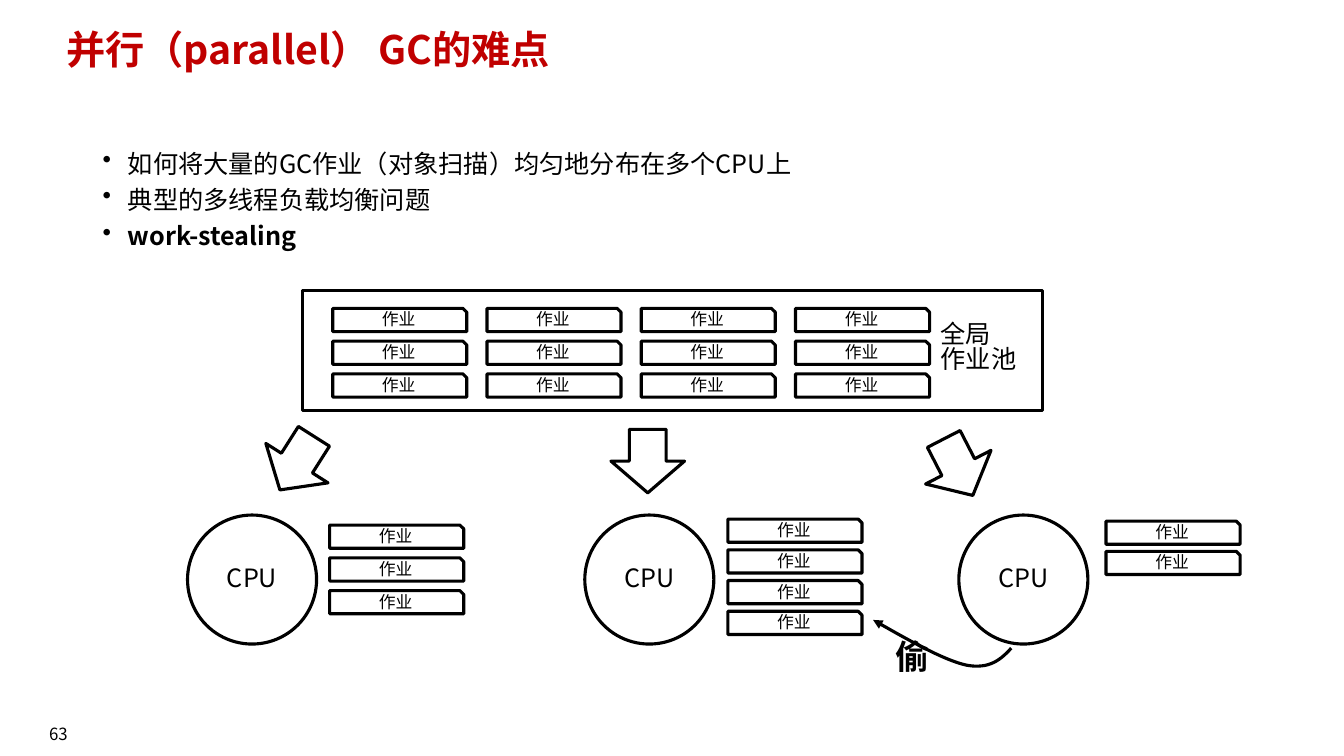
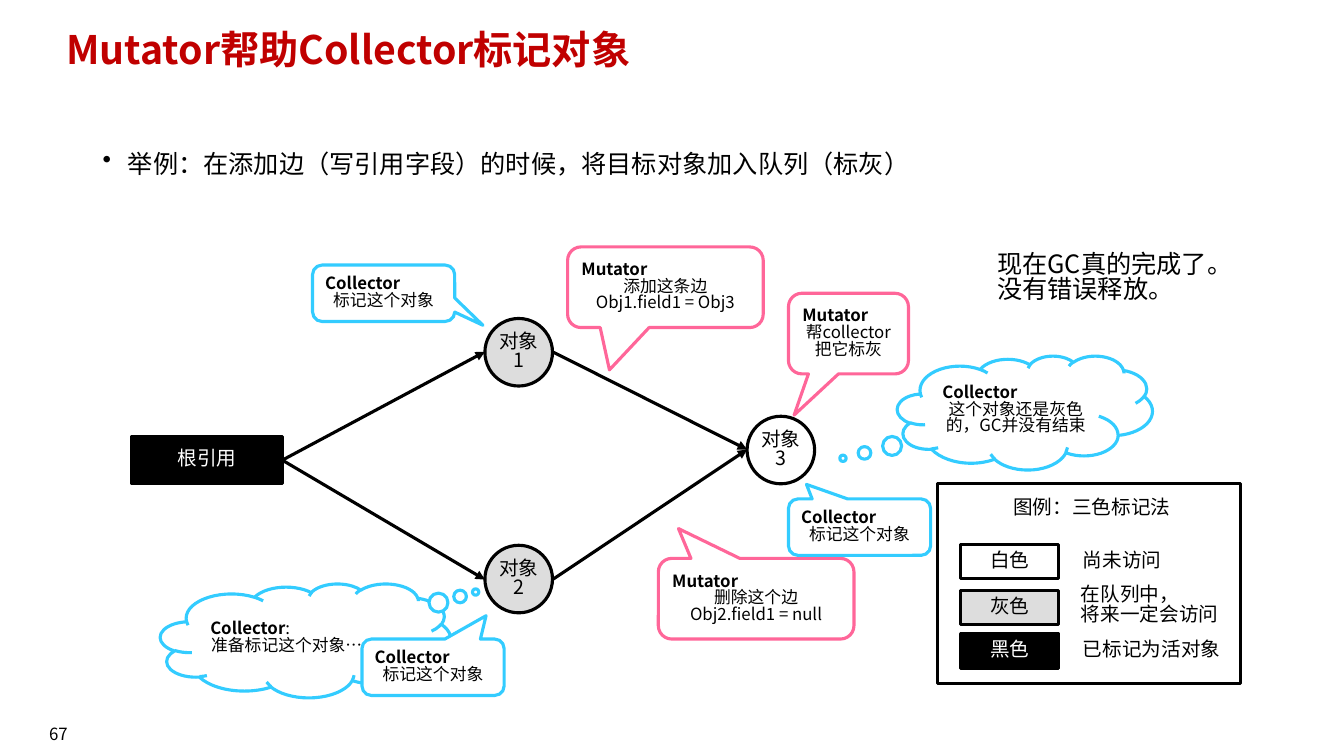
"""Build two slides on parallel and concurrent garbage collection."""
from lxml.etree import SubElement
from pptx import Presentation
from pptx.dml.color import RGBColor
from pptx.enum.shapes import MSO_CONNECTOR, MSO_SHAPE as Kind
from pptx.enum.text import MSO_ANCHOR as Anchor, MSO_AUTO_SIZE as Fit, PP_ALIGN as Align
from pptx.oxml.ns import qn
from pptx.util import Inches, Pt

HUES = {"ink": "000000", "paper": "FFFFFF", "title": "C00000",
        "gray": "DDDDDD", "pink": "FF6699", "blue": "33CCFF"}
FACE = "Noto Sans CJK SC"
LEAD = 0.82
TIGHT = 0.74


def hue(name):
    return RGBColor.from_string(HUES[name])


class Deck:
    """Hold the shared style and the current slide."""

    def __init__(self):
        self.prs = Presentation()
        self.prs.slide_width = Inches(13.33)
        self.prs.slide_height = Inches(7.5)
        self.slide = None

    def page(self, title, number, points):
        self.slide = self.prs.slides.add_slide(self.prs.slide_layouts[5])
        head = self.slide.shapes.title
        head.left, head.top, head.width, head.height = map(Inches, (0.56, 0.31, 11.5, 0.65))
        frame = head.text_frame
        frame.auto_size = Fit.NONE
        frame.vertical_anchor = Anchor.TOP
        self.words(frame, [title], 28, "title", bold=True, lead=TIGHT)
        self.label((0, 7.1, 1.16, 0.4), [number], 12, align=Align.CENTER, anchor=Anchor.MIDDLE)
        return self.bullets(points)

    def words(self, frame, lines, size, color="ink", align=Align.LEFT,
              bold=False, lead=LEAD, bullet=False):
        frame.word_wrap = True
        for i, line in enumerate(lines):
            para = frame.add_paragraph() if i else frame.paragraphs[0]
            para.text = line
            props = para._p.get_or_add_pPr()
            if bullet:
                props.set("marL", str(Inches(0.25)))
                props.set("indent", str(-Inches(0.25)))
                SubElement(props, qn("a:buChar")).set("char", "•")
                if i:
                    para.space_before = Pt(10)
            para.alignment = align
            para.line_spacing = lead
            font = para.font
            font.size, font.bold, font.name = Pt(size), bold, FACE
            font.color.rgb = hue(color)
            SubElement(props.find(qn("a:defRPr")), qn("a:ea")).set("typeface", FACE)

    def label(self, box, lines, size, align=Align.LEFT, bold=False, anchor=Anchor.TOP):
        frame = self.slide.shapes.add_textbox(*map(Inches, box)).text_frame
        self.inset(frame)
        frame.vertical_anchor = anchor
        self.words(frame, lines, size, align=align, bold=bold)

    def bullets(self, points):
        frame = self.slide.shapes.add_textbox(*map(Inches, (0.92, 1.49, 11.5, 4.76))).text_frame
        self.words(frame, points, 18, lead=TIGHT, bullet=True)
        return frame

    def inset(self, frame):
        frame.margin_left = frame.margin_right = 0
        frame.margin_top = frame.margin_bottom = 0

    def paint(self, shape, fill, line):
        shape.shadow.inherit = False
        shape.fill.solid()
        shape.fill.fore_color.rgb = hue(fill)
        shape.line.color.rgb = hue(line)
        shape.line.width = Pt(2.25)

    def shape(self, kind, box, lines=(), size=14, fill="paper", line="ink", turn=0):
        item = self.slide.shapes.add_shape(kind, *map(Inches, box))
        self.paint(item, fill, line)
        item.rotation = turn
        item.text_frame.vertical_anchor = Anchor.MIDDLE
        color = "paper" if fill == "ink" else "ink"
        self.words(item.text_frame, lines, size, color, Align.CENTER)
        return item

    def job(self, left, top):
        self.shape(Kind.SNIP_1_RECTANGLE, (left, top, 1.33, 0.23), ["作业"], 12)

    def node(self, left, top, number, fill="paper"):
        item = self.shape(Kind.OVAL, (left, top, 0.67, 0.67), ["对象", number], fill=fill)
        self.inset(item.text_frame)

    def bubble(self, kind, box, tip, who, lines, line, mark=""):
        item = self.shape(kind, box, [who, *lines], 12, line=line)
        item.adjustments[0], item.adjustments[1] = tip
        first = item.text_frame.paragraphs[0]
        first.alignment = Align.LEFT
        first.font.bold = True
        if mark:
            run = first.add_run()
            run.text = mark
            run.font.bold = False

    def arrow(self, item):
        SubElement(item._element.spPr.find(qn("a:ln")), qn("a:tailEnd")).set("type", "triangle")

    def edge(self, start, end, source=None):
        item = self.slide.shapes.add_connector(
            MSO_CONNECTOR.STRAIGHT, *map(Inches, (*start, *end)))
        if source:
            item.begin_connect(source, 3)
        item.line.color.rgb = hue("ink")
        item.line.width = Pt(2.25)
        self.arrow(item)
        SubElement(item._element.spPr, qn("a:effectLst"))

    def curve(self, start, bends, steps=16):
        dots = [start]
        for bend in bends:
            knots = (dots[-1], *bend)
            for n in range(1, steps + 1):
                t = n / steps
                parts = ((1 - t) ** 3, 3 * t * (1 - t) ** 2, 3 * t * t * (1 - t), t ** 3)
                dots.append(tuple(sum(w * k[axis] for w, k in zip(parts, knots))
                                  for axis in (0, 1)))
        spots = [(Inches(x), Inches(y)) for x, y in dots]
        pen = self.slide.shapes.build_freeform(*spots[0])
        pen.add_line_segments(spots[1:], close=False)
        item = pen.convert_to_shape()
        self.paint(item, "paper", "ink")
        self.arrow(item)


def stealing(deck):
    body = deck.page("并行（parallel） GC的难点", "63", [
        "如何将大量的GC作业（对象扫描）均匀地分布在多个CPU上",
        "典型的多线程负载均衡问题", "work-stealing"])
    body.paragraphs[2].font.bold = True
    deck.shape(Kind.RECTANGLE, (3, 2.88, 7.34, 1.19))
    for col in range(4):
        for row in range(3):
            deck.job(3.3 + 1.53 * col, 3.06 + 0.325 * row)
    deck.label((9.33, 3.21, 0.89, 0.61), ["全局\v作业池"], 18)
    for left, top, turn in ((2.58, 4.28, 32.4), (6.06, 4.26, 0), (9.14, 4.32, 332.8)):
        deck.shape(Kind.DOWN_ARROW, (left, top, 0.73, 0.63), turn=turn)
    for cpu, left, top, gap, count in ((1.86, 3.27, 5.21, 0.325, 3),
                                       (5.8, 7.22, 5.15, 0.305, 4),
                                       (9.51, 10.97, 5.17, 0.3, 2)):
        deck.shape(Kind.OVAL, (cpu, 5.11, 1.28, 1.28), ["CPU"], 18)
        for row in range(count):
            deck.job(left, top + gap * row)
    deck.curve((10.03, 6.43), [((9.93, 6.54), (9.82, 6.64), (9.59, 6.6)),
                               ((9.36, 6.55), (9.01, 6.35), (8.66, 6.15))])
    deck.label((8.88, 6.38, 0.35, 0.4), ["偷"], 24, bold=True)


def marking(deck):
    deck.page("Mutator帮助Collector标记对象", "67",
              ["举例：在添加边（写引用字段）的时候，将目标对象加入队列（标灰）"])
    root = deck.shape(Kind.RECTANGLE, (1.31, 4.33, 1.49, 0.47), ["根引用"], fill="ink")
    deck.node(4.81, 3.16, "1", "gray")
    deck.node(4.81, 5.41, "2", "gray")
    deck.node(7.41, 4.13, "3")
    for end in ((4.81, 3.49), (4.81, 5.75)):
        deck.edge((2.8, 4.56), end, root)
    for start in ((5.48, 3.49), (5.48, 5.75)):
        deck.edge(start, (7.41, 4.46))

    deck.shape(Kind.RECTANGLE, (9.3, 4.8, 3, 1.98))
    deck.label((9.53, 4.95, 2.6, 0.24), ["图例：三色标记法"], 14, Align.CENTER)
    for top, name, fill, left, high, lines in (
            (5.4, "白色", "paper", 10.74, 0.24, ["尚未访问"]),
            (5.86, "灰色", "gray", 10.72, 0.47, ["在队列中，", "将来一定会访问"]),
            (6.29, "黑色", "ink", 10.74, 0.24, ["已标记为活对象"])):
        deck.shape(Kind.RECTANGLE, (9.53, top, 0.97, 0.34), [name], fill=fill)
        mid = top + 0.17 - (0.02 if fill == "gray" else 0)
        deck.label((left, mid - high / 2, 1.49, high), lines, 14, anchor=Anchor.MIDDLE)

    cloud, talk = Kind.CLOUD_CALLOUT, Kind.ROUNDED_RECTANGULAR_CALLOUT
    deck.bubble(cloud, (1.59, 5.79, 2.88, 1.13), (0.586, -0.426), "Collector",
                ["准备标记这个对象……"], "blue", ":")
    deck.bubble(cloud, (8.9, 3.53, 2.53, 1.13), (-0.713, 0.4), "Collector",
                ["这个对象还是灰色的，GC并没有结束"], "blue")
    for box, tip, lines in (
            ((5.63, 2.45, 1.94, 0.8), (-0.286, 1.025), ["添加这条边", "Obj1.field1 = Obj3"]),
            ((6.53, 5.54, 1.94, 0.8), (-0.397, -0.87), ["删除这个边", "Obj2.field1 = null"]),
            ((7.82, 2.91, 1.19, 0.8), (-0.453, 1.011), ["帮collector", "把它标灰"])):
        deck.bubble(talk, box, tip, "Mutator", lines, "pink")
    for left, top, tip in ((3.1, 2.63, (0.699, 0.568)),
                           (3.59, 6.34, (0.373, -0.914)),
                           (7.82, 4.95, (-0.373, -0.758))):
        deck.bubble(talk, (left, top, 1.41, 0.56), tip, "Collector", ["标记这个对象"], "blue")
    deck.label((9.89, 2.52, 2.5, 0.61), ["现在GC真的完成了。", "没有错误释放。"], 18)


def main():
    deck = Deck()
    stealing(deck)
    marking(deck)
    deck.prs.save("out.pptx")


if __name__ == "__main__":
    main()
